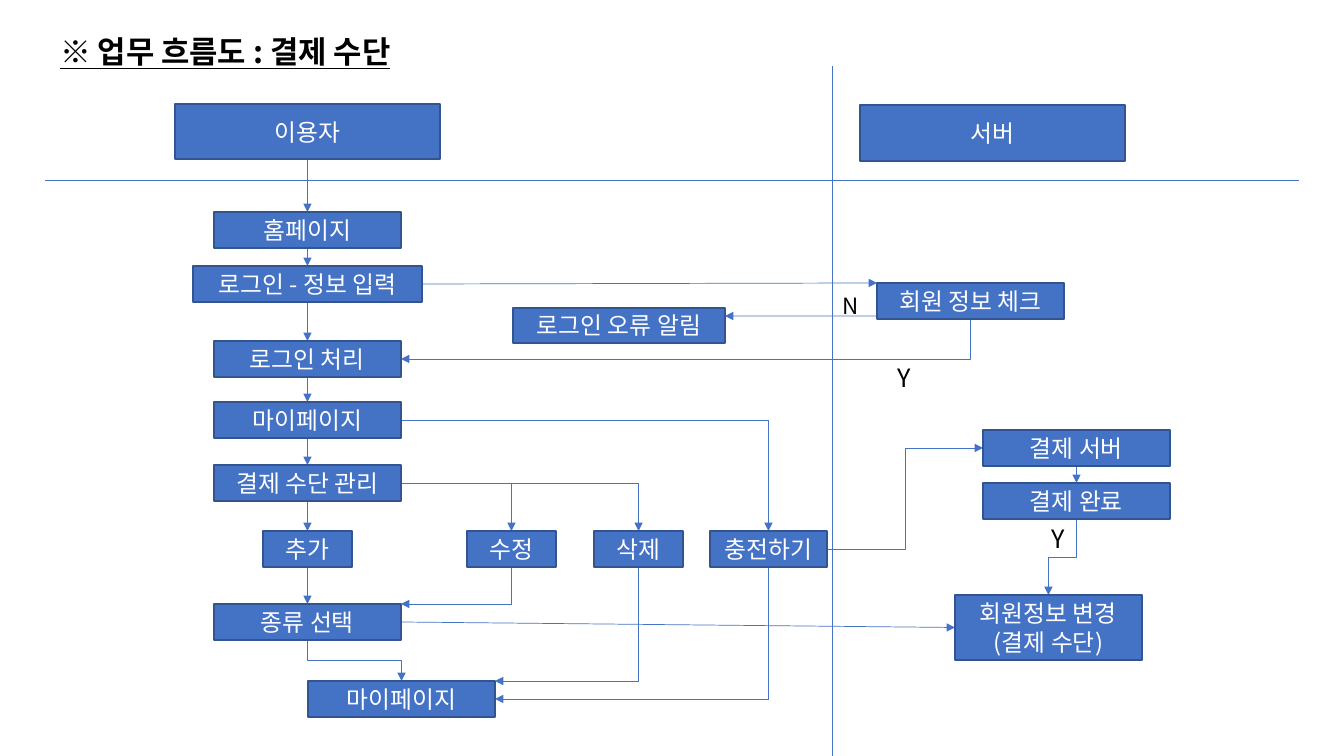
"""Build the payment-method workflow slide with user and server lanes."""
from pptx import Presentation
from pptx.dml.color import RGBColor
from pptx.enum.shapes import MSO_CONNECTOR, MSO_SHAPE
from pptx.enum.text import MSO_ANCHOR, PP_ALIGN
from pptx.oxml.ns import qn
from pptx.util import Emu, Pt
from lxml.etree import SubElement

WIDTH, HEIGHT = 1344, 756
SCALE = 12192000 / WIDTH
FONT = "Noto Sans CJK KR"
BLUE, NAVY, WHITE, BLACK = "4472C4", "325491", "FFFFFF", "000000"
WIDE, SHORT, LOW = 187, 89, 36

TITLE = ("※ 업무 흐름도 : 결제 수단", 50, 28, 388, 47)

BOXES = {
    "user": ("이용자", 175, 104, 265, 55),
    "server": ("서버", 860, 105, 265, 56),
    "home": ("홈페이지", 214, 212, WIDE, LOW),
    "login": ("로그인 - 정보 입력", 193, 266, 229, LOW),
    "signed in": ("로그인 처리", 214, 341, WIDE, LOW),
    "my page": ("마이페이지", 214, 402, WIDE, LOW),
    "methods": ("결제 수단 관리", 214, 465, WIDE, LOW),
    "add": ("추가", 263, 531, SHORT, LOW),
    "edit": ("수정", 467, 531, SHORT, LOW),
    "delete": ("삭제", 594, 531, SHORT, LOW),
    "charge": ("충전하기", 710, 531, 117, LOW),
    "kind": ("종류 선택", 214, 604, WIDE, LOW),
    "last page": ("마이페이지", 308, 681, WIDE, LOW),
    "check": ("회원 정보 체크", 877, 283, WIDE, LOW),
    "error": ("로그인 오류 알림", 513, 308, 212, 35),
    "payment": ("결제 서버", 983, 430, WIDE, LOW),
    "paid": ("결제 완료", 983, 483, WIDE, LOW),
    "change": ("회원정보 변경\n(결제 수단)", 955, 595, WIDE, 65),
}

USER_FLOW = ["user", "home", "login", "signed in", "my page", "methods", "add", "kind"]

TOP, BOTTOM, LEFT, RIGHT = (0.5, 0), (0.5, 1), (0, 0.5), (1, 0.5)
TOP_LEFT, TOP_RIGHT = (0, 0), (1, 0)

LINKS = [(a, BOTTOM, b, TOP, "straight") for a, b in zip(USER_FLOW, USER_FLOW[1:])] + [
    ("login", RIGHT, "check", TOP_LEFT, "straight"),
    ("check", (0.2, 0.92), "error", (1, 0.23), "straight"),
    ("check", BOTTOM, "signed in", RIGHT, "down, across"),
    ("my page", RIGHT, "charge", TOP, "across, down"),
    ("methods", RIGHT, "edit", TOP, "across, down"),
    ("methods", RIGHT, "delete", TOP, "across, down"),
    ("charge", RIGHT, "payment", LEFT, "across, step"),
    ("payment", BOTTOM, "paid", TOP, "straight"),
    ("paid", BOTTOM, "change", TOP, "down, step"),
    ("edit", BOTTOM, "kind", TOP_RIGHT, "down, across"),
    ("kind", RIGHT, "change", LEFT, "straight"),
    ("kind", BOTTOM, "last page", TOP, "down, step"),
    ("delete", BOTTOM, "last page", TOP_RIGHT, "down, across"),
    ("charge", BOTTOM, "last page", RIGHT, "down, across"),
]

LABELS = [("N", 16, 833, 287, 27, 37), ("Y", 18, 888, 357, 27, 40), ("Y", 18, 1042, 518, 27, 40)]
DIVIDERS = [((832, 66), (832, HEIGHT)), ((45, 180), (1299, 180))]


def px(length):
    return Emu(round(length * SCALE))


def colour(value):
    return RGBColor.from_string(value)


def write(frame, text, size=17, ink=WHITE, align=PP_ALIGN.CENTER, anchor=MSO_ANCHOR.MIDDLE,
          bold=False, underline=False, wrap=True):
    frame.word_wrap = wrap
    frame.vertical_anchor = anchor
    for index, line in enumerate(text.split("\n")):
        para = frame.add_paragraph() if index else frame.paragraphs[0]
        para.alignment = align
        span = para.add_run()
        span.text = line
        font = span.font
        font.name, font.size, font.bold, font.underline = FONT, Pt(size), bold, underline
        font.color.rgb = colour(ink)
        SubElement(font._element, qn("a:ea")).set("typeface", FONT)


def add_line(page, start, end, route="straight", arrow=True):
    kind = MSO_CONNECTOR.STRAIGHT if route == "straight" else MSO_CONNECTOR.ELBOW
    turned = route.startswith("down")
    if turned:
        middle_x, middle_y = (start[0] + end[0]) / 2, (start[1] + end[1]) / 2
        half_x, half_y = (end[0] - start[0]) / 2, (end[1] - start[1]) / 2
        start = (middle_x - half_y, middle_y + half_x)
        end = (middle_x + half_y, middle_y - half_x)
    line = page.shapes.add_connector(kind, *map(px, start + end))
    line.line.color.rgb = colour(BLUE)
    line.line.width = Pt(0.5)
    properties = line._element.spPr
    if turned:
        properties.find(qn("a:xfrm")).set("rot", str(90 * 60000))
    if route in ("down, across", "across, down"):
        properties.find(qn("a:prstGeom")).set("prst", "bentConnector2")
    if arrow:
        SubElement(properties.find(qn("a:ln")), qn("a:tailEnd")).set("type", "triangle")
    SubElement(properties, qn("a:effectLst"))


def add_box(page, text, *bounds):
    box = page.shapes.add_shape(MSO_SHAPE.RECTANGLE, *map(px, bounds))
    box.shadow.inherit = False
    box.fill.solid()
    box.fill.fore_color.rgb = colour(BLUE)
    box.line.color.rgb = colour(NAVY)
    box.line.width = Pt(1)
    write(box.text_frame, text)


def point(name, anchor):
    left, top, width, height = BOXES[name][1:]
    return left + width * anchor[0], top + height * anchor[1]


def main():
    deck = Presentation()
    deck.slide_width, deck.slide_height = px(WIDTH), px(HEIGHT)
    page = deck.slides.add_slide(deck.slide_layouts[5])

    heading = page.shapes.title
    text, *bounds = TITLE
    heading.left, heading.top, heading.width, heading.height = map(px, bounds)
    write(heading.text_frame, text, size=22, ink=BLACK, align=PP_ALIGN.LEFT,
          anchor=MSO_ANCHOR.TOP, bold=True, underline=True, wrap=False)

    for source, leaving, target, arriving, route in LINKS:
        add_line(page, point(source, leaving), point(target, arriving), route)
    for box in BOXES.values():
        add_box(page, *box)
    for text, size, *bounds in LABELS:
        label = page.shapes.add_textbox(*map(px, bounds))
        write(label.text_frame, text, size=size, ink=BLACK, align=PP_ALIGN.LEFT,
              anchor=MSO_ANCHOR.TOP)
    for start, end in DIVIDERS:
        add_line(page, start, end, arrow=False)

    deck.save("out.pptx")


if __name__ == "__main__":
    main()
